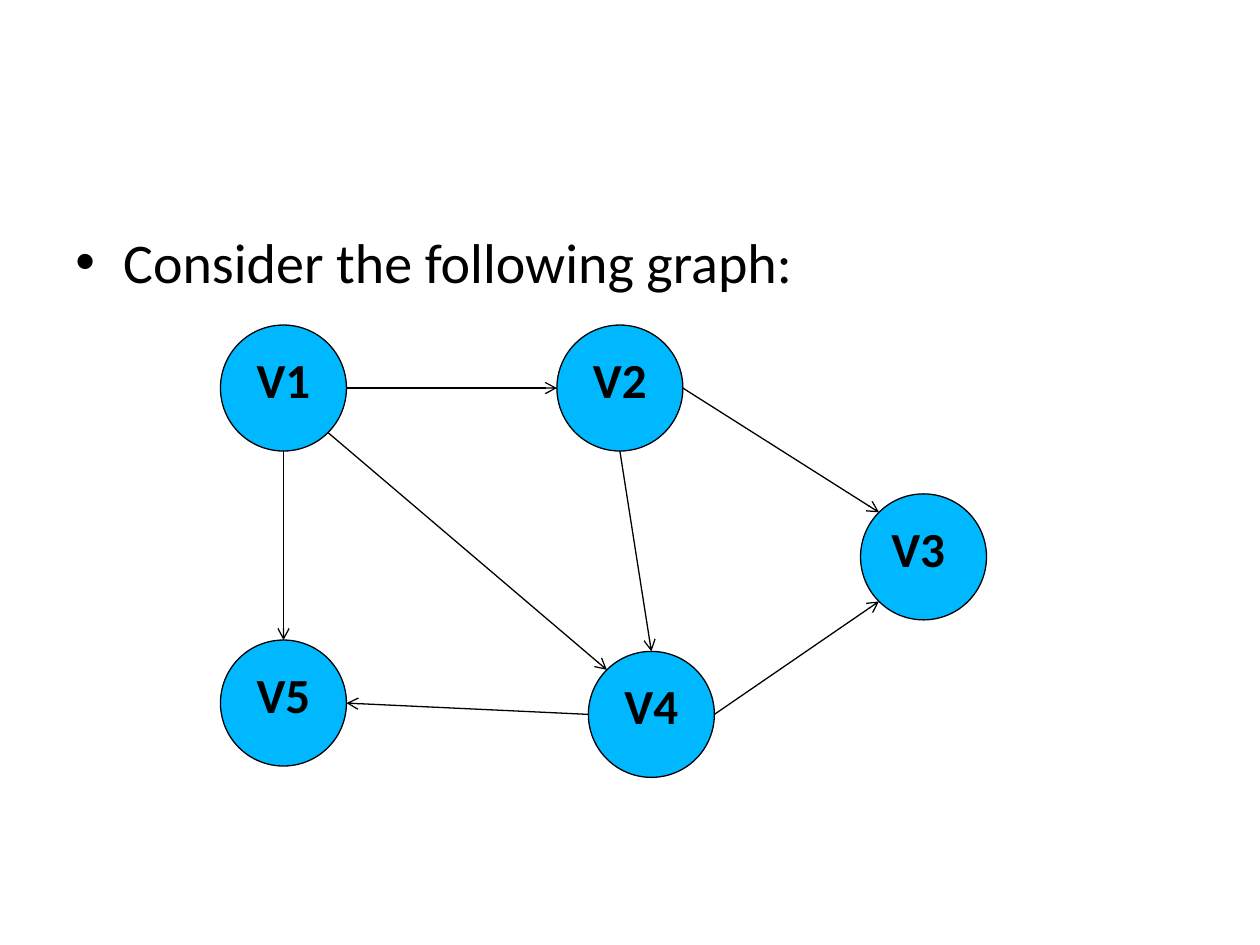
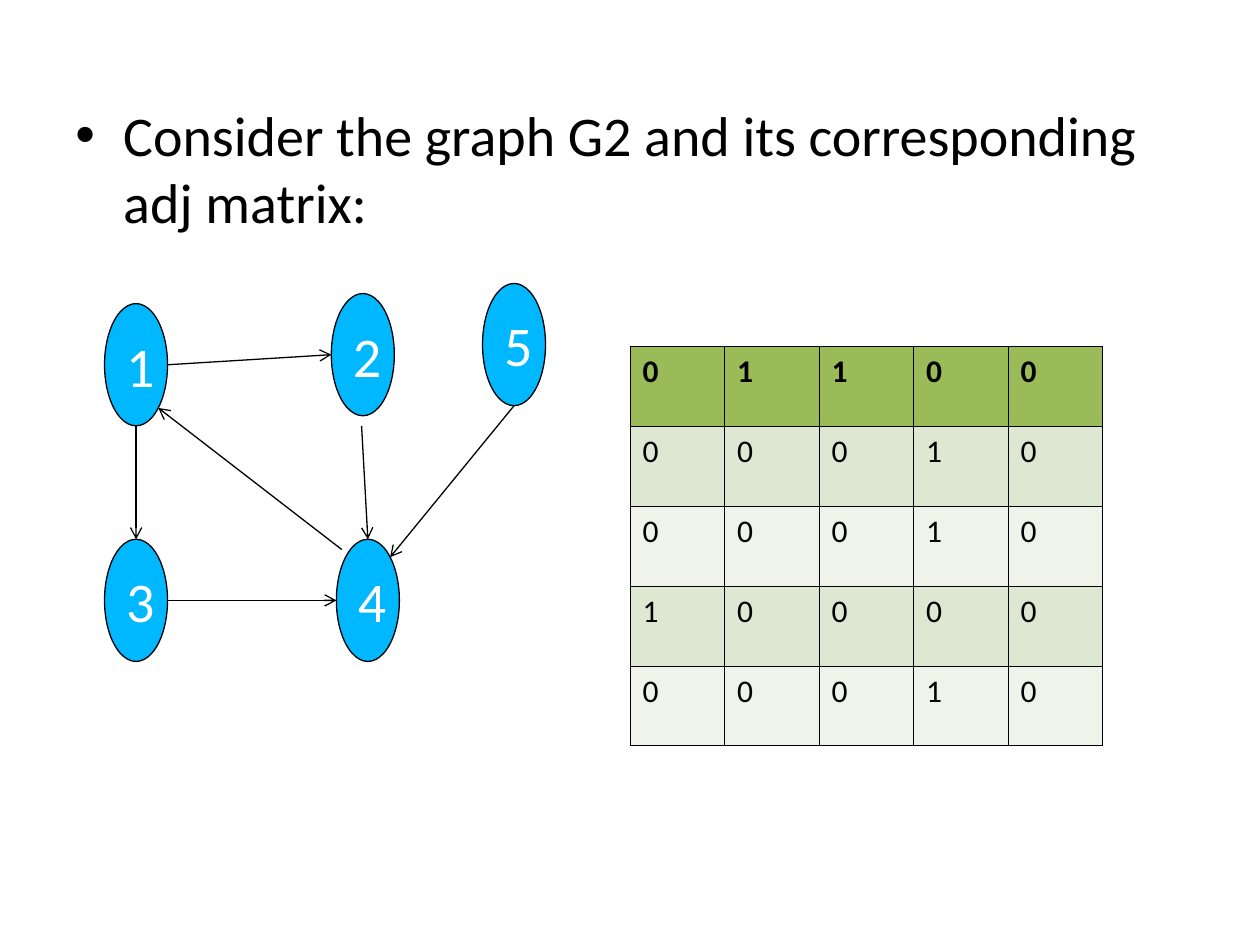
from dataclasses import dataclass
from math import sqrt

from lxml import etree
from pptx import Presentation
from pptx.dml.color import RGBColor
from pptx.enum.shapes import MSO_CONNECTOR, MSO_SHAPE
from pptx.enum.text import MSO_ANCHOR, PP_ALIGN
from pptx.oxml.ns import qn
from pptx.util import Emu, Pt

ELLIPSE, STRAIGHT = MSO_SHAPE.OVAL, MSO_CONNECTOR.STRAIGHT
TOP, MIDDLE = MSO_ANCHOR.TOP, MSO_ANCHOR.MIDDLE
LEFT, CENTER = PP_ALIGN.LEFT, PP_ALIGN.CENTER
EMU_PER_PX = 9144  # 100 px to the inch
BLANK = 6


@dataclass(frozen=True)
class Theme:
    font: str = "Calibri"
    ink: str = "000000"
    paper: str = "FFFFFF"
    node: str = "00B8FF"
    head_row: str = "9BBB59"
    bands: tuple = ("DEE7D1", "EFF3EA")
    body_pt: int = 32
    vertex_pt: int = 28
    cell_pt: int = 18
    line_pt: float = 0.75
    grid_pt: float = 0.45


T = Theme()
DIAG = 1 / sqrt(2)
# Unit offsets from an ellipse's centre to its connection sites
SITES = {
    "top": (0, -1), "left": (-1, 0), "bottom": (0, 1), "right": (1, 0),
    "top left": (-DIAG, -DIAG), "top right": (DIAG, -DIAG),
    "bottom right": (DIAG, DIAG),
}


def px(n):
    return Emu(round(n * EMU_PER_PX))


def rgb(color):
    return RGBColor.from_string(color)


def write(tf, text, size, color=T.ink, bold=False, align=LEFT):
    p = tf.paragraphs[0]
    p.alignment = align
    r = p.add_run()
    r.text = text
    for name, value in dict(name=T.font, size=Pt(size), bold=bold).items():
        setattr(r.font, name, value)
    r.font.color.rgb = rgb(color)


def set_outline(line):
    line.color.rgb = rgb(T.ink)
    line.width = Pt(T.line_pt)


def add_bullet(s, text, box):
    tf = s.shapes.add_textbox(*map(px, box)).text_frame
    tf.word_wrap = True
    pPr = tf.paragraphs[0]._p.get_or_add_pPr()
    pPr.set("marL", str(px(38)))
    pPr.set("indent", str(px(-38)))
    etree.SubElement(pPr, qn("a:buFont"), typeface="Arial")
    etree.SubElement(pPr, qn("a:buChar"), char="•")
    write(tf, text, T.body_pt)


def add_node(grp, label, box, anchor, **text_format):
    sp = grp.shapes.add_shape(ELLIPSE, *map(px, box))
    sp.shadow.inherit = False
    sp.fill.solid()
    sp.fill.fore_color.rgb = rgb(T.node)
    set_outline(sp.line)
    tf = sp.text_frame
    tf.word_wrap = True
    tf.vertical_anchor = anchor
    write(tf, label, **text_format)


def site_point(box, site):
    x, y, w, h = box
    dx, dy = SITES[site]
    return x + w / 2 * (1 + dx), y + h / 2 * (1 + dy)


def add_arrow(grp, start, end):
    cx = grp.shapes.add_connector(STRAIGHT, *map(px, (*start, *end)))
    set_outline(cx.line)
    etree.SubElement(cx.line._get_or_add_ln(), qn("a:tailEnd"), type="arrow")
    etree.SubElement(cx._element.spPr, qn("a:effectLst"))


def add_graph(s, positions, size, edges, node_format, special=None):
    """Draw nodes, then edges given as (from, site, to, site, optional start gap)."""
    grp = s.shapes.add_group_shape()
    boxes = {label: (*xy, *size) for label, xy in positions.items()}
    for label, box in boxes.items():
        add_node(grp, label, box, **{**node_format, **(special or {}).get(label, {})})
    for tail, tail_site, head, head_site, *gap in edges:
        x, y = site_point(boxes[tail], tail_site)
        dx, dy = gap[0] if gap else (0, 0)
        add_arrow(grp, (x + dx, y + dy), site_point(boxes[head], head_site))


def set_borders(cell):
    tcPr = cell._tc.get_or_add_tcPr()
    for i, side in enumerate(("lnL", "lnR", "lnT", "lnB")):
        ln = etree.Element(qn(f"a:{side}"), w=str(Pt(T.grid_pt)))
        fill = etree.SubElement(ln, qn("a:solidFill"))
        etree.SubElement(fill, qn("a:srgbClr"), val=T.ink)
        tcPr.insert(i, ln)


def add_matrix(s, rows, box):
    x, y, w, h = map(px, box)
    tbl = s.shapes.add_table(len(rows), len(rows[0]), x, y, w, h).table
    for i, row in enumerate(rows):
        color = T.bands[(i - 1) % 2] if i else T.head_row
        for j, value in enumerate(row):
            cell = tbl.cell(i, j)
            cell.fill.solid()
            cell.fill.fore_color.rgb = rgb(color)
            set_borders(cell)
            write(cell.text_frame, value, T.cell_pt, bold=i == 0)


def add_vertex_slide(prs):
    s = prs.slides.add_slide(prs.slide_layouts[BLANK])
    add_bullet(s, "Consider the following graph:", (50, 176, 767, 474))
    positions = {"V1": (175, 258), "V5": (175, 508), "V4": (467, 517),
                 "V2": (442, 258), "V3": (683, 392)}
    edges = [
        ("V1", "right", "V2", "left"),
        ("V1", "bottom right", "V4", "top left"),
        ("V2", "bottom", "V4", "top"),
        ("V1", "bottom", "V5", "top"),
        ("V4", "left", "V5", "right"),
        ("V4", "right", "V3", "bottom left"),
        ("V2", "right", "V3", "top left"),
    ]
    node_format = dict(anchor=TOP, size=T.vertex_pt, bold=True, align=CENTER)
    add_graph(s, positions, (100, 100), edges, node_format, {"V3": dict(align=LEFT)})


def add_matrix_slide(prs):
    s = prs.slides.add_slide(prs.slide_layouts[BLANK])
    add_bullet(s, "Consider the graph G2 and its corresponding adj matrix:",
               (50, 75, 886, 582))
    positions = {"1": (83, 241), "3": (83, 428), "2": (263, 233),
                 "4": (267, 428), "5": (383, 225)}
    edges = [
        ("1", "right", "2", "left"),
        ("2", "bottom", "4", "top", (-1, 8)),
        ("5", "bottom", "4", "top right"),
        ("1", "bottom", "3", "top"),
        ("3", "right", "4", "left"),
        ("4", "top left", "1", "bottom right", (-3, -6)),
    ]
    node_format = dict(anchor=MIDDLE, size=T.body_pt, color=T.paper)
    add_graph(s, positions, (50, 97), edges, node_format)
    add_matrix(s, ("01100", "00010", "00010", "10000", "00010"), (500, 275, 375, 317))


def main():
    SITES["bottom left"] = (-DIAG, DIAG)
    prs = Presentation()
    prs.slide_width, prs.slide_height = px(1000), px(750)
    add_vertex_slide(prs)
    add_matrix_slide(prs)
    prs.save("out.pptx")


if __name__ == "__main__":
    main()
